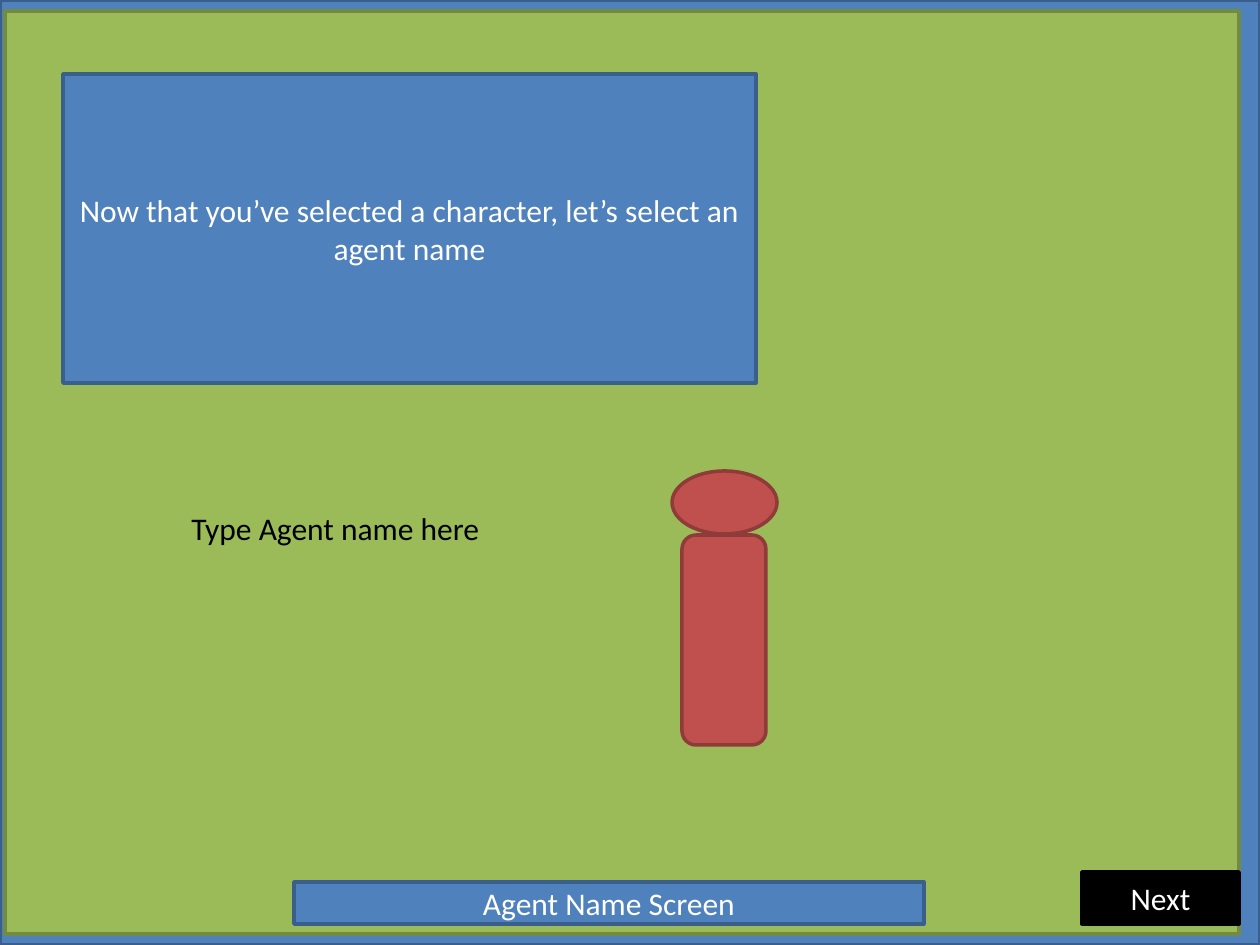
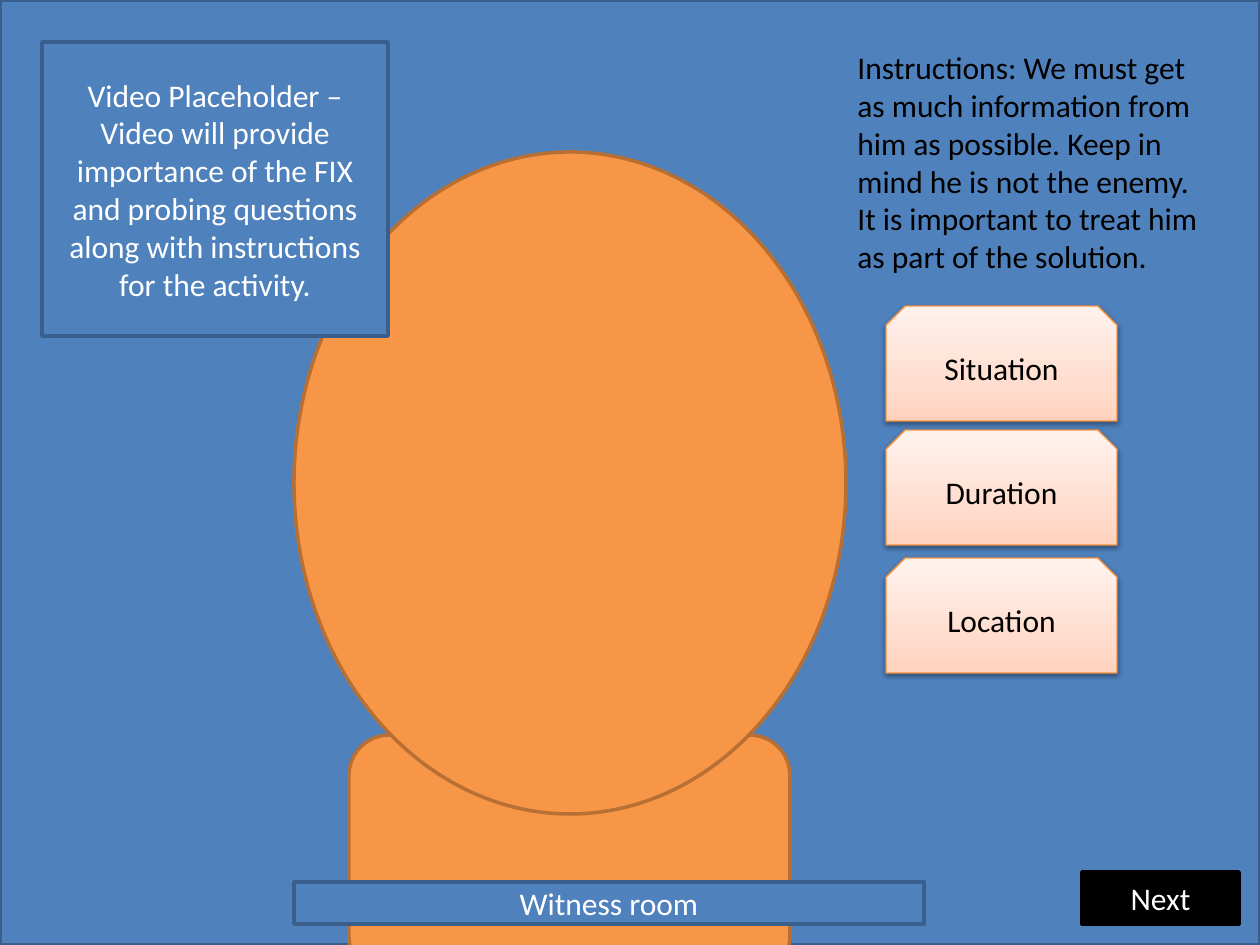
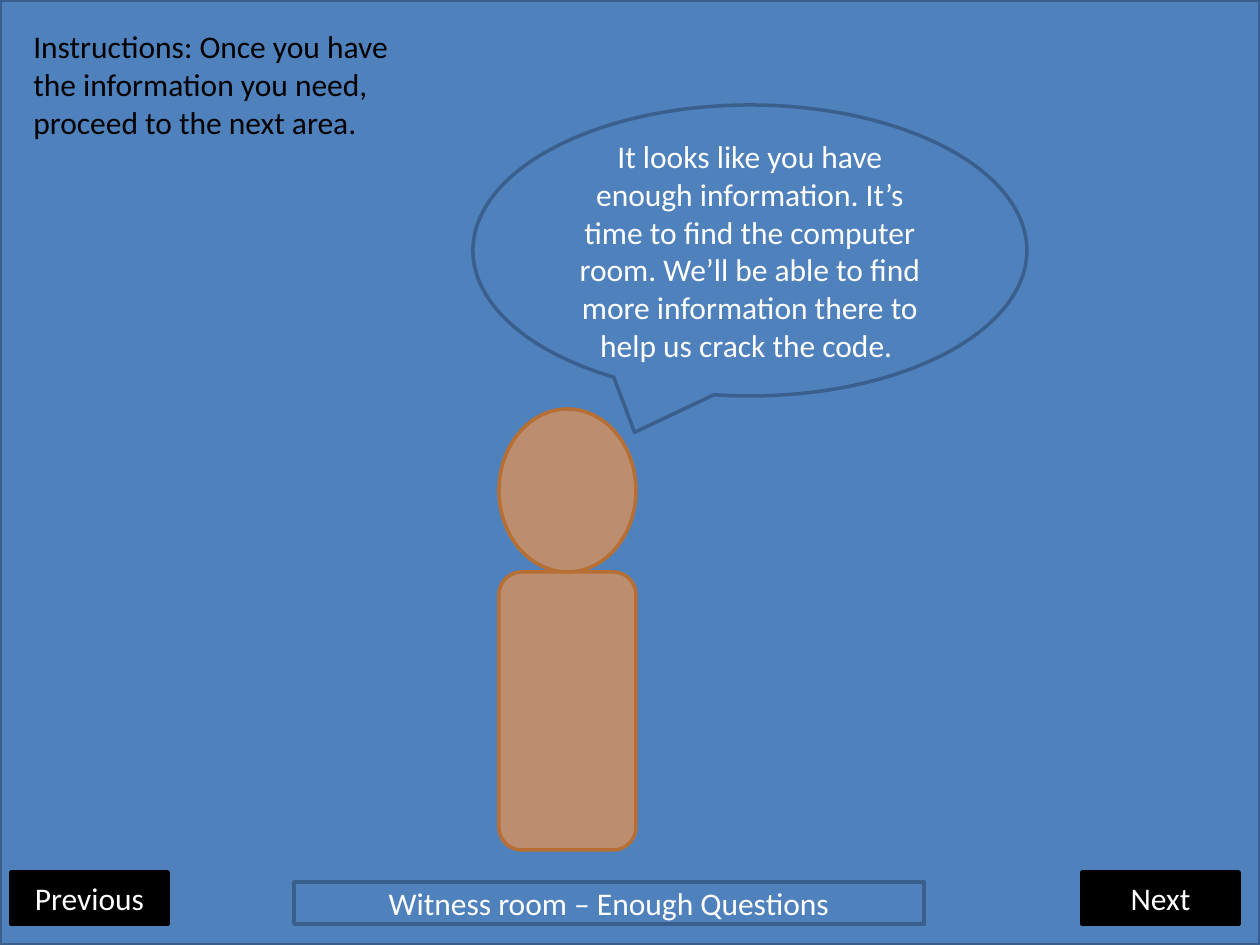
from dataclasses import dataclass

from pptx import Presentation
from pptx.dml.color import RGBColor
from pptx.enum.shapes import MSO_SHAPE
from pptx.enum.text import MSO_ANCHOR, MSO_AUTO_SIZE, PP_ALIGN
from pptx.oxml import parse_xml
from pptx.oxml.ns import nsdecls, qn
from pptx.util import Emu, Pt


@dataclass(frozen=True)
class Theme:
    font: str = "Calibri"
    text_size: int = 18
    line_width: float = 2
    card_line_width: float = 0.75
    dark_text: str = "000000"
    light_text: str = "FFFFFF"
    # Fill and line pairs
    blue: tuple = ("4F81BD", "3A5F8C")
    green: tuple = ("9BBB59", "738A42")
    red: tuple = ("C0504D", "8E3B39")
    orange: tuple = ("F79646", "B76F34")
    black: tuple = ("000000", "000000")
    card_line: str = "F69240"
    card_stops: tuple = ((0, "FFD2BD"), (35, "FFDED0"), (100, "FFF2ED"))


THEME = Theme()
EMU_PER_PX = 914400 / 126
PAGE_WIDTH, PAGE_HEIGHT = 1260, 945

CAPTION_AT = (294, 882, 630, 42)
BUTTON_TOP, BUTTON_WIDTH, BUTTON_HEIGHT = 872, 157, 52
BUTTON_LEFT = {"Previous": 11, "Next": 1082}
CARD_LEFT, CARD_WIDTH, CARD_HEIGHT = 886, 231, 115

# Each part is a kind followed by the arguments of the function that draws it.
SCREENS = [
    {
        "caption": "Agent Name Screen",
        "buttons": ["Next"],
        "behind": [
            ("panel", (5, 11, 1234, 923), THEME.green),
            ("panel", (63, 74, 693, 309), THEME.blue,
             "Now that you’ve selected a character, let’s select an agent name"),
        ],
        "front": [
            ("figure", (672, 471, 105, 63), (682, 535, 84, 210), THEME.red),
            ("note", (179, 503, 325, 50), "Type Agent name here"),
        ],
    },
    {
        "caption": "Witness room",
        "buttons": ["Next"],
        "behind": [
            ("figure", (294, 152, 552, 662), (349, 735, 441, 242), THEME.orange),
        ],
        "front": [
            ("note", (845, 42, 373, 242),
             "Instructions: We must get as much information from him as possible. "
             "Keep in mind he is not the enemy. It is important to treat him as "
             "part of the solution."),
            ("panel", (42, 42, 346, 294), THEME.blue,
             "Video Placeholder – Video will provide importance of the FIX and "
             "probing questions along with instructions for the activity."),
            ("cards", [("Situation", 306), ("Duration", 430), ("Location", 558)]),
        ],
    },
    {
        "caption": "Witness room – Enough Questions",
        "buttons": ["Next", "Previous"],
        "behind": [
            ("figure", (499, 409, 137, 163), (499, 572, 137, 278), THEME.orange, 65),
        ],
        "front": [
            ("note", (21, 21, 388, 127),
             "Instructions: Once you have the information you need, proceed to "
             "the next area."),
            ("speech", (473, 105, 554, 291), THEME.blue,
             "It looks like you have enough information. It’s time to find the "
             "computer room. We’ll be able to find more information there to "
             "help us crack the code. "),
        ],
    },
]


def px(length):
    return Emu(round(length * EMU_PER_PX))


def write(box, text, color, align):
    box.text_frame.word_wrap = True
    para = box.text_frame.paragraphs[0]
    para.alignment = align
    span = para.add_run()
    span.text = text
    span.font.name = THEME.font
    span.font.size = Pt(THEME.text_size)
    span.font.color.rgb = RGBColor.from_string(color)


def add_outlined(page, preset, at, line_color, line_width, text, text_color):
    """Add a preset shape with a line, no shadow and optional centred text."""
    shape = page.shapes.add_shape(preset, *map(px, at))
    shape.shadow.inherit = False
    shape.line.color.rgb = RGBColor.from_string(line_color)
    shape.line.width = Pt(line_width)
    if text:
        shape.text_frame.vertical_anchor = MSO_ANCHOR.MIDDLE
        write(shape, text, text_color, PP_ALIGN.CENTER)
    return shape


def add_solid(page, preset, at, colors, text="", opacity=100):
    fill_color, line_color = colors
    shape = add_outlined(page, preset, at, line_color, THEME.line_width,
                         text, THEME.light_text)
    shape.fill.solid()
    shape.fill.fore_color.rgb = RGBColor.from_string(fill_color)
    if opacity < 100:
        color = shape.element.spPr.find(qn("a:solidFill")).find(qn("a:srgbClr"))
        color.append(parse_xml(f'<a:alpha {nsdecls("a")} val="{opacity * 1000}"/>'))


def add_panel(page, at, colors, text=""):
    add_solid(page, MSO_SHAPE.RECTANGLE, at, colors, text)


def add_speech(page, at, colors, text):
    add_solid(page, MSO_SHAPE.OVAL_CALLOUT, at, colors, text)


def add_figure(page, head_at, body_at, colors, opacity=100):
    add_solid(page, MSO_SHAPE.ROUNDED_RECTANGLE, body_at, colors, opacity=opacity)
    add_solid(page, MSO_SHAPE.OVAL, head_at, colors, opacity=opacity)


def add_note(page, at, text):
    box = page.shapes.add_textbox(*map(px, at))
    write(box, text, THEME.dark_text, PP_ALIGN.LEFT)
    box.text_frame.auto_size = MSO_AUTO_SIZE.SHAPE_TO_FIT_TEXT


def add_cards(page, cards):
    """Stack snipped cards with a rising gradient and a soft shadow."""
    stops = "".join(
        f'<a:gs pos="{place * 1000}"><a:srgbClr val="{color}"/></a:gs>'
        for place, color in THEME.card_stops)
    for label, top in cards:
        at = (CARD_LEFT, top, CARD_WIDTH, CARD_HEIGHT)
        card = add_outlined(page, MSO_SHAPE.SNIP_2_SAME_RECTANGLE, at, THEME.card_line,
                            THEME.card_line_width, label, THEME.dark_text)
        properties = card.element.spPr
        properties.find(qn("a:prstGeom")).addnext(parse_xml(
            f'<a:gradFill {nsdecls("a")} rotWithShape="1"><a:gsLst>{stops}</a:gsLst>'
            '<a:lin ang="16200000" scaled="0"/></a:gradFill>'))
        properties.find(qn("a:effectLst")).append(parse_xml(
            f'<a:outerShdw {nsdecls("a")} blurRad="40000" dist="20000" dir="5400000" '
            'rotWithShape="0"><a:srgbClr val="000000"><a:alpha val="38000"/>'
            '</a:srgbClr></a:outerShdw>'))


DRAW = {"panel": add_panel, "speech": add_speech, "figure": add_figure,
        "note": add_note, "cards": add_cards}


def add_parts(page, parts):
    for kind, *details in parts:
        DRAW[kind](page, *details)


def add_screen(deck, screen):
    page = deck.slides.add_slide(deck.slide_layouts[6])
    add_panel(page, (0, 0, PAGE_WIDTH, PAGE_HEIGHT), THEME.blue)
    add_parts(page, screen["behind"])
    add_panel(page, CAPTION_AT, THEME.blue, screen["caption"])
    for label in screen["buttons"]:
        at = (BUTTON_LEFT[label], BUTTON_TOP, BUTTON_WIDTH, BUTTON_HEIGHT)
        add_panel(page, at, THEME.black, label)
    add_parts(page, screen["front"])


def main():
    deck = Presentation()
    deck.slide_width, deck.slide_height = px(PAGE_WIDTH), px(PAGE_HEIGHT)
    for screen in SCREENS:
        add_screen(deck, screen)
    deck.save("out.pptx")


if __name__ == "__main__":
    main()
